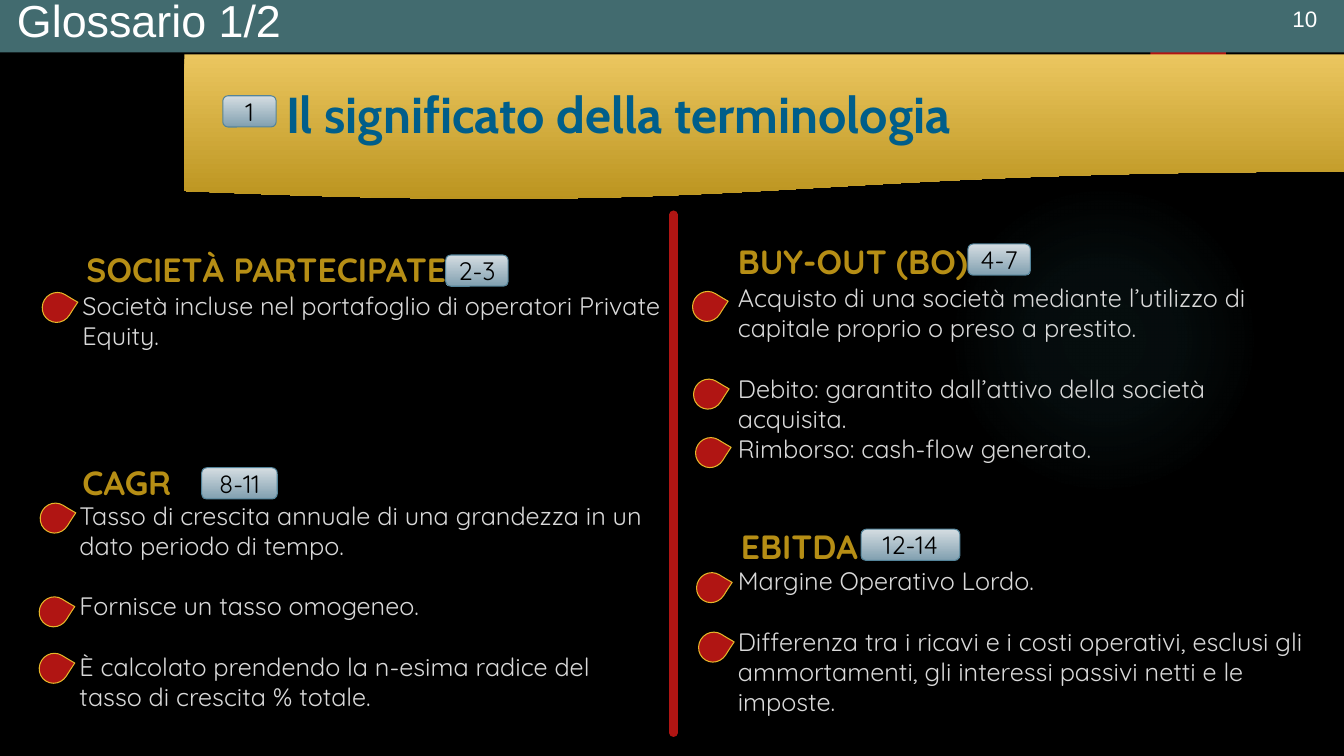
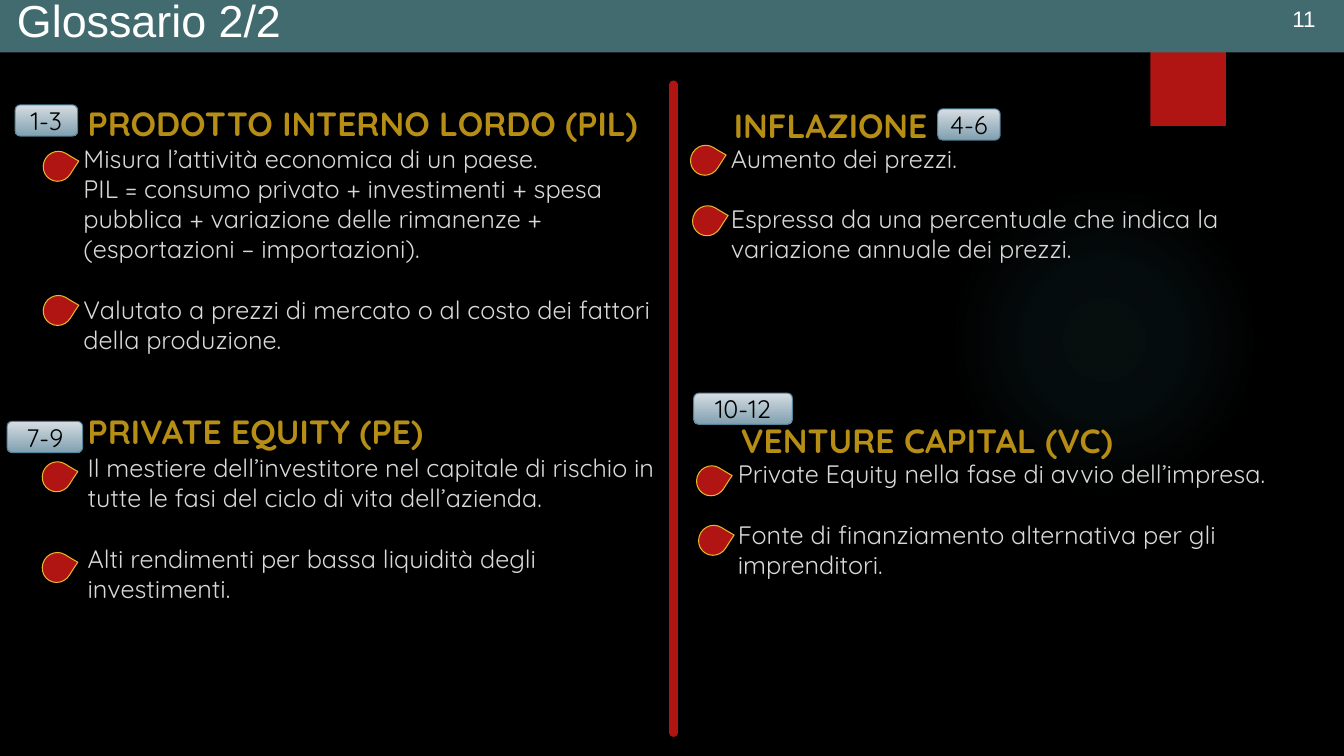
"""Builds the two glossary slides with their terms, markers and animation badges."""
from dataclasses import dataclass

from lxml import etree
from pptx import Presentation
from pptx.dml.color import RGBColor
from pptx.enum.shapes import MSO_CONNECTOR, MSO_SHAPE
from pptx.enum.text import MSO_ANCHOR, MSO_AUTO_SIZE, PP_ALIGN
from pptx.oxml import parse_xml
from pptx.oxml.ns import qn
from pptx.util import Inches, Pt

RECT = MSO_SHAPE.RECTANGLE
ROUND_RECT = MSO_SHAPE.ROUNDED_RECTANGLE
OVAL = MSO_SHAPE.OVAL
TEARDROP = MSO_SHAPE.TEAR
DOCUMENT = MSO_SHAPE.FLOWCHART_DOCUMENT
STRAIGHT = MSO_CONNECTOR.STRAIGHT
CENTER = PP_ALIGN.CENTER
MIDDLE = MSO_ANCHOR.MIDDLE
GROW = MSO_AUTO_SIZE.SHAPE_TO_FIT_TEXT

COLORS = {
    "background": "000000",
    "band": "426B6F",
    "white": "FFFFFF",
    "red": "B01513",
    "drop_edge": "E6B729",
    "heading": "B68E15",
    "body": "D9D9D9",
    "glow": "50B9C1",
    "banner_top": "EBC65F",
    "banner_bottom": "BB941F",
    "banner_text": "005E8A",
    "badge_top": "D5DDE2",
    "badge_bottom": "81A0B0",
    "badge_edge": "54849A",
    "badge_text": "000000",
}
SLIDE_WIDTH, SLIDE_HEIGHT = 13.33, 7.5
COLUMN_WIDTH = 5.94
DIVIDER_X, DIVIDER_BOTTOM = 6.68, 7.27
BADGE_HEIGHT = 0.31
BLANK_LINE = 21.6
GLOW_STOPS = ((0, 7), (36, 6), (69, 0))
DRAWING_NS = "http://schemas.openxmlformats.org/drawingml/2006/main"


@dataclass
class Point:
    """A paragraph of a definition, with its marker and the gap above it."""
    text: str
    drop: tuple = None
    gap: bool = False


@dataclass
class Term:
    """A glossary term: heading, definition and badge."""
    name: str
    heading_at: tuple
    body_at: tuple
    body_height: float
    badge: str
    badge_at: tuple
    badge_width: float
    points: list


FIRST_TERMS = [
    Term("SOCIETÀ PARTECIPATE", (0.76, 2.42), (0.72, 2.83), 0.71, "2-3", (4.42, 2.53), 0.62, [
        Point("Società incluse nel portafoglio di operatori Private Equity.", (0.42, 2.9)),
    ]),
    Term("CAGR", (0.72, 4.53), (0.69, 4.91), 2.22, "8-11", (2, 4.64), 0.75, [
        Point("Tasso di crescita annuale di una grandezza in un dato periodo di tempo.", (0.4, 4.99)),
        Point("Fornisce un tasso omogeneo.", (0.39, 5.92), gap=True),
        Point("È calcolato prendendo la n-esima radice del tasso di crescita % totale.",
              (0.39, 6.48), gap=True),
    ]),
    Term("BUY-OUT (BO)", (7.22, 2.34), (7.22, 2.75), 1.92, "4-7", (9.6, 2.42), 0.62, [
        Point("Acquisto di una società mediante l’utilizzo di capitale proprio o preso a prestito.",
              (6.87, 2.89)),
        Point("Debito: garantito dall’attivo della società acquisita.", (6.88, 3.76), gap=True),
        Point("Rimborso: cash-flow generato.", (6.9, 4.34)),
    ]),
    Term("EBITDA", (7.25, 5.17), (7.22, 5.56), 1.62, "12-14", (8.54, 5.25), 0.98, [
        Point("Margine Operativo Lordo.", (6.91, 5.68)),
        Point("Differenza tra i ricavi e i costi operativi, esclusi gli ammortamenti, "
              "gli interessi passivi netti e le imposte.", (6.93, 6.27), gap=True),
    ]),
]
SECOND_TERMS = [
    Term("PRODOTTO INTERNO LORDO (PIL)", (0.77, 0.97), (0.73, 1.37), 2.22, "1-3", (0.15, 1.04), 0.62, [
        Point("Misura l’attività economica di un paese.", (0.43, 1.5)),
        Point("PIL = consumo privato + investimenti + spesa pubblica + variazione delle "
              "rimanenze + (esportazioni – importazioni)."),
        Point("Valutato a prezzi di mercato o al costo dei fattori della produzione.",
              (0.43, 2.93), gap=True),
    ]),
    Term("INFLAZIONE", (7.18, 0.99), (7.15, 1.37), 1.31, "4-6", (9.3, 1.08), 0.62, [
        Point("Aumento dei prezzi.", (6.85, 1.44)),
        Point("Espressa da una percentuale che indica la variazione annuale dei prezzi.",
              (6.87, 2.04), gap=True),
    ]),
    Term("PRIVATE EQUITY (PE)", (0.77, 4.03), (0.77, 4.44), 1.62, "7-9", (0.07, 4.18), 0.75, [
        Point("Il mestiere dell’investitore nel capitale di rischio in tutte le fasi "
              "del ciclo di vita dell’azienda.", (0.42, 4.58)),
        Point("Alti rendimenti per bassa liquidità degli investimenti.", (0.42, 5.48), gap=True),
    ]),
    Term("VENTURE CAPITAL (VC)", (7.25, 4.12), (7.22, 4.5), 1.31, "10-12", (6.88, 3.9), 0.98, [
        Point("Private Equity nella fase di avvio dell’impresa.", (6.91, 4.62)),
        Point("Fonte di finanziamento alternativa per gli imprenditori.", (6.93, 5.21), gap=True),
    ]),
]


def rgb(color):
    """Returns the named colour."""
    return RGBColor.from_string(COLORS[color])


def write_text(paragraph, text, *, size=18, font="Quicksand", color="body",
               bold=False, align=None, before=0):
    """Writes one formatted run into a paragraph."""
    paragraph.alignment = align
    paragraph.space_before = Pt(before)
    run = paragraph.add_run()
    run.text = text
    run.font.size = Pt(size)
    run.font.name = font
    run.font.bold = bold
    run.font.color.rgb = rgb(color)


def add_frame(slide, left, top, width, height):
    """Adds a wrapping text box and returns its text frame."""
    box = slide.shapes.add_textbox(Inches(left), Inches(top), Inches(width), Inches(height))
    box.text_frame.word_wrap = True
    box.text_frame.auto_size = GROW
    return box.text_frame


def add_label(slide, text, left, top, width, height, **text_format):
    """Adds a text box with a single paragraph."""
    frame = add_frame(slide, left, top, width, height)
    write_text(frame.paragraphs[0], text, **text_format)


def add_filled(slide, kind, left, top, width, height, *fill, edge=None):
    """Adds a preset shape with a solid or a top-to-bottom gradient fill."""
    shape = slide.shapes.add_shape(kind, Inches(left), Inches(top), Inches(width), Inches(height))
    shape.shadow.inherit = False
    if len(fill) == 1:
        shape.fill.solid()
        shape.fill.fore_color.rgb = rgb(fill[0])
    else:
        shape.fill.gradient()
        shape.fill.gradient_angle = 270
        for stop, color in zip(shape.fill.gradient_stops, fill):
            stop.color.rgb = rgb(color)
    if edge:
        shape.line.color.rgb = rgb(edge)
        shape.line.width = Pt(0.75)
    else:
        shape.line.fill.background()
    return shape


def add_glow(slide):
    """Adds the faint round glow that fades outwards."""
    glow = add_filled(slide, OVAL, 9.41, 1.83, 3.08, 3.08, "glow")
    stops = "".join(
        f'<a:gs pos="{position * 1000}"><a:srgbClr val="{COLORS["glow"]}">'
        f'<a:alpha val="{alpha * 1000}"/></a:srgbClr></a:gs>'
        for position, alpha in GLOW_STOPS)
    gradient = parse_xml(
        f'<a:gradFill xmlns:a="{DRAWING_NS}" rotWithShape="1"><a:gsLst>{stops}</a:gsLst>'
        '<a:path path="circle"><a:fillToRect l="50000" t="50000" r="50000" b="50000"/>'
        '</a:path></a:gradFill>')
    properties = glow.element.spPr
    properties.replace(properties.find(qn("a:solidFill")), gradient)


def add_divider(slide, top):
    """Adds the round-ended red line between the columns."""
    divider = slide.shapes.add_connector(
        STRAIGHT, Inches(DIVIDER_X), Inches(top), Inches(DIVIDER_X), Inches(DIVIDER_BOTTOM))
    divider.line.color.rgb = rgb("red")
    divider.line.width = Pt(6)
    divider.line._get_or_add_ln().set("cap", "rnd")
    etree.SubElement(divider.element.spPr, qn("a:effectLst"))


def add_drop(slide, left, top):
    """Adds a tilted teardrop marker."""
    drop = add_filled(slide, TEARDROP, left, top, 0.29, 0.3, "red", edge="drop_edge")
    drop.adjustments[0] = 1.02
    drop.rotation = 31.8


def add_badge(slide, text, left, top, width):
    """Adds a rounded number badge."""
    badge = add_filled(slide, ROUND_RECT, left, top, width, BADGE_HEIGHT,
                       "badge_top", "badge_bottom", edge="badge_edge")
    badge.text_frame.word_wrap = False
    badge.text_frame.vertical_anchor = MIDDLE
    write_text(badge.text_frame.paragraphs[0], text, color="badge_text", align=CENTER)


def add_term(slide, term):
    """Adds a heading, its definition with markers, and its badge."""
    body = add_frame(slide, *term.body_at, COLUMN_WIDTH, term.body_height)
    for index, point in enumerate(term.points):
        paragraph = body.add_paragraph() if index else body.paragraphs[0]
        write_text(paragraph, point.text, before=BLANK_LINE if point.gap else 0)
        if point.drop:
            add_drop(slide, *point.drop)
    add_label(slide, term.name, *term.heading_at, COLUMN_WIDTH, 0.5,
              size=24, color="heading", bold=True)
    add_badge(slide, term.badge, *term.badge_at, term.badge_width)


def add_banner(slide):
    """Adds the golden banner with its numbered title."""
    add_filled(slide, DOCUMENT, 1.83, 0.54, 11.5, 1.45, "banner_top", "banner_bottom")
    add_label(slide, "Il significato della terminologia", 2.74, 0.78, 10.45, 0.71,
              size=36, font="Cabin", color="banner_text", bold=True)
    add_badge(slide, "1", 2.21, 0.95, 0.53)


def add_glossary_slide(prs, title, number, divider_top, terms):
    """Adds a slide with the shared backdrop, title band and terms."""
    slide = prs.slides.add_slide(prs.slide_layouts[6])
    slide.background.fill.solid()
    slide.background.fill.fore_color.rgb = rgb("background")
    add_glow(slide)
    add_filled(slide, RECT, 11.41, 0, 0.75, 1.25, "red")
    add_filled(slide, RECT, 0, 0, SLIDE_WIDTH, 0.52, "band")
    add_label(slide, number, 12.72, 0, 0.55, 0.37, size=16, font="Arial", color="white")
    add_label(slide, title, 0.07, -0.12, 12.57, 0.6, size=32, font="Arial", color="white")
    add_divider(slide, divider_top)
    for term in terms:
        add_term(slide, term)
    return slide


def main():
    """Builds and saves the presentation."""
    prs = Presentation()
    prs.slide_width = Inches(SLIDE_WIDTH)
    prs.slide_height = Inches(SLIDE_HEIGHT)
    first = add_glossary_slide(prs, "Glossario 1/2", "10", 2.13, FIRST_TERMS)
    add_banner(first)
    add_glossary_slide(prs, "Glossario 2/2", "11", 0.84, SECOND_TERMS)
    prs.save("out.pptx")


if __name__ == "__main__":
    main()
